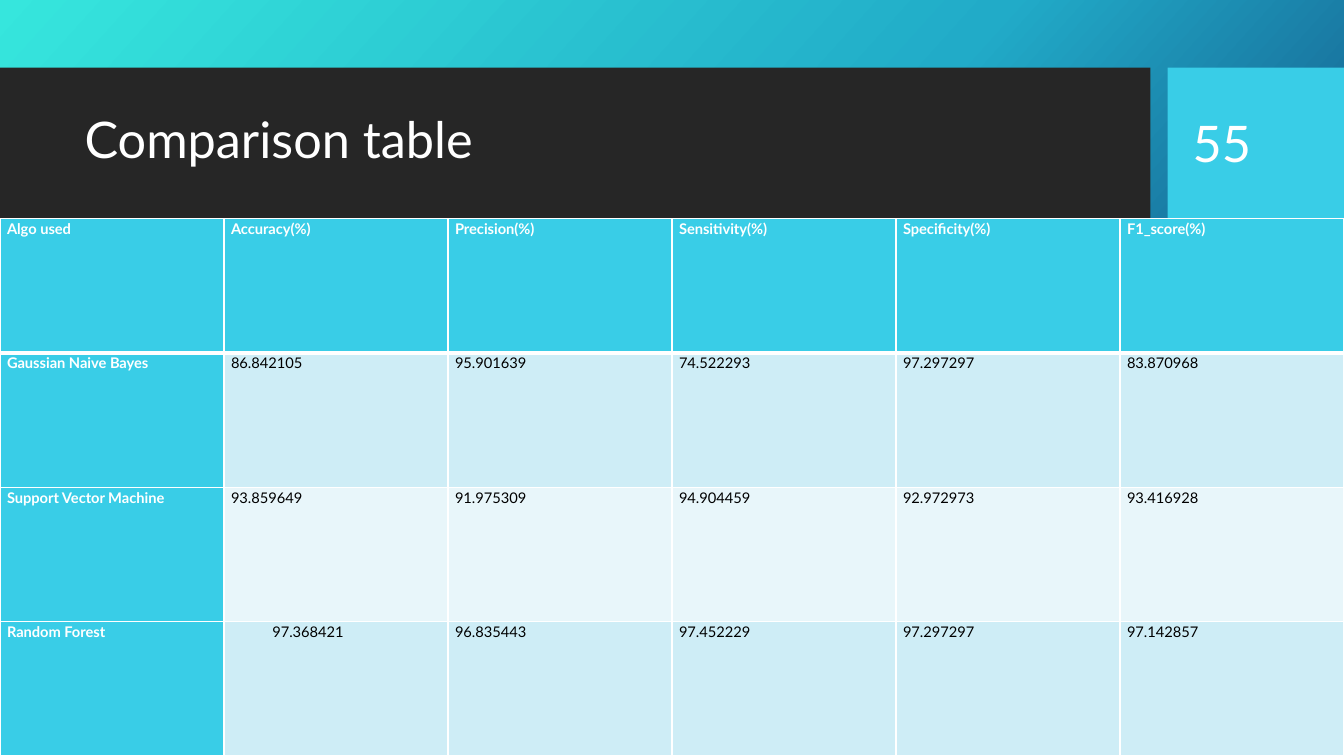
from lxml import etree
from pptx import Presentation
from pptx.dml.color import RGBColor
from pptx.enum.shapes import MSO_SHAPE
from pptx.enum.text import MSO_ANCHOR, PP_ALIGN
from pptx.oxml.ns import qn
from pptx.util import Inches, Pt

RECTANGLE = MSO_SHAPE.RECTANGLE
MIDDLE = MSO_ANCHOR.MIDDLE
LEFT = PP_ALIGN.LEFT

# Content
TITLE = "Comparison table"
PAGE_NUMBER = "55"
RESULTS = [
    ("Algo used", "Accuracy(%)", "Precision(%)", "Sensitivity(%)", "Specificity(%)", "F1_score(%)"),
    ("Gaussian Naive Bayes", "86.842105", "95.901639", "74.522293", "97.297297", "83.870968"),
    ("Support Vector Machine", "93.859649", "91.975309", "94.904459", "92.972973", "93.416928"),
    ("Random Forest", "97.368421", "96.835443", "97.452229", "97.297297", "97.142857"),
]
INDENTED_CELL = (3, 1)

# Style
FONT = "Lato"
COLORS = {
    "band": "262626", "accent": "39CDE7", "white": "FFFFFF", "black": "000000",
    "odd_row": "CEEDF6", "even_row": "E8F6FA",
}
BACKGROUND_STOPS = [(0, "36E6DD"), (50, "21ABC8"), (100, "0C2263")]
BACKGROUND_ANGLE = 42

# Layout in inches
SLIDE_W, SLIDE_H = 13.33, 7.5
BAND_TOP, BAND_H = 0.67, 1.5
BAND_W, NUMBER_LEFT = 11.41, 11.58
TABLE_TOP = BAND_TOP + BAND_H
TABLE_H = SLIDE_H - TABLE_TOP


def color(name):
    return RGBColor.from_string(COLORS[name])


def style_text(paragraph, size, color_name, bold=False):
    paragraph.alignment = LEFT
    font = paragraph.font
    font.name, font.size, font.bold = FONT, Pt(size), bold
    font.color.rgb = color(color_name)


def add_block(left, width, color_name):
    block = slide.shapes.add_shape(
        RECTANGLE, Inches(left), Inches(BAND_TOP), Inches(width), Inches(BAND_H))
    block.shadow.inherit = False
    block.fill.solid()
    block.fill.fore_color.rgb = color(color_name)
    block.line.fill.background()


def add_heading(text, left, width, line_spacing):
    frame = slide.shapes.add_textbox(
        Inches(left), Inches(0.82), Inches(width), Inches(1.18)).text_frame
    frame.word_wrap = True
    frame.vertical_anchor = MIDDLE
    frame.text = text
    frame.paragraphs[0].line_spacing = line_spacing
    style_text(frame.paragraphs[0], 36, "white")


def add_border(cell, side, width):
    line = etree.SubElement(cell._tc.get_or_add_tcPr(), qn(f"a:ln{side}"), w=str(Pt(width)))
    fill = etree.SubElement(line, qn("a:solidFill"))
    etree.SubElement(fill, qn("a:srgbClr"), val=COLORS["white"])


deck = Presentation()
deck.slide_width, deck.slide_height = Inches(SLIDE_W), Inches(SLIDE_H)
slide = deck.slides.add_slide(deck.slide_layouts[6])

# Gradient background
backdrop = slide.background.fill
backdrop.gradient()
backdrop.gradient_angle = 360 - BACKGROUND_ANGLE
stop_list = next(slide.element.iter(qn("a:gsLst")))
for old_stop in list(stop_list):
    stop_list.remove(old_stop)
for percent, hex_color in BACKGROUND_STOPS:
    stop = etree.SubElement(stop_list, qn("a:gs"), pos=str(percent * 1000))
    etree.SubElement(stop, qn("a:srgbClr"), val=hex_color)

# Title band and page number
add_block(0, BAND_W, "band")
add_block(NUMBER_LEFT, SLIDE_W - NUMBER_LEFT, "accent")
add_heading(TITLE, 0.74, 10.51, 0.9)
add_heading(PAGE_NUMBER, 11.73, 1.26, 1.0)

# Results table
results = slide.shapes.add_table(
    len(RESULTS), len(RESULTS[0]), 0, Inches(TABLE_TOP), Inches(SLIDE_W), Inches(TABLE_H)).table
for row, values in enumerate(RESULTS):
    for column, value in enumerate(values):
        cell = results.cell(row, column)
        is_label = row == 0 or column == 0
        cell.margin_left = cell.margin_right = Inches(0.07)
        cell.margin_top = cell.margin_bottom = 0
        cell.text = value
        paragraph = cell.text_frame.paragraphs[0]
        paragraph.line_spacing = 1.07
        style_text(paragraph, 10.5, "white" if is_label else "black", is_label)
        if (row, column) == INDENTED_CELL:
            paragraph._p.get_or_add_pPr().set("marL", str(Inches(0.41)))

        # Thick rule under the header, thin ones elsewhere
        for side, width in (("L", 1), ("R", 1), ("T", 3 if row == 1 else 1),
                            ("B", 3 if row == 0 else 1)):
            add_border(cell, side, width)
        cell.fill.solid()
        row_fill = "odd_row" if row % 2 else "even_row"
        cell.fill.fore_color.rgb = color("accent" if is_label else row_fill)

deck.save("out.pptx")
